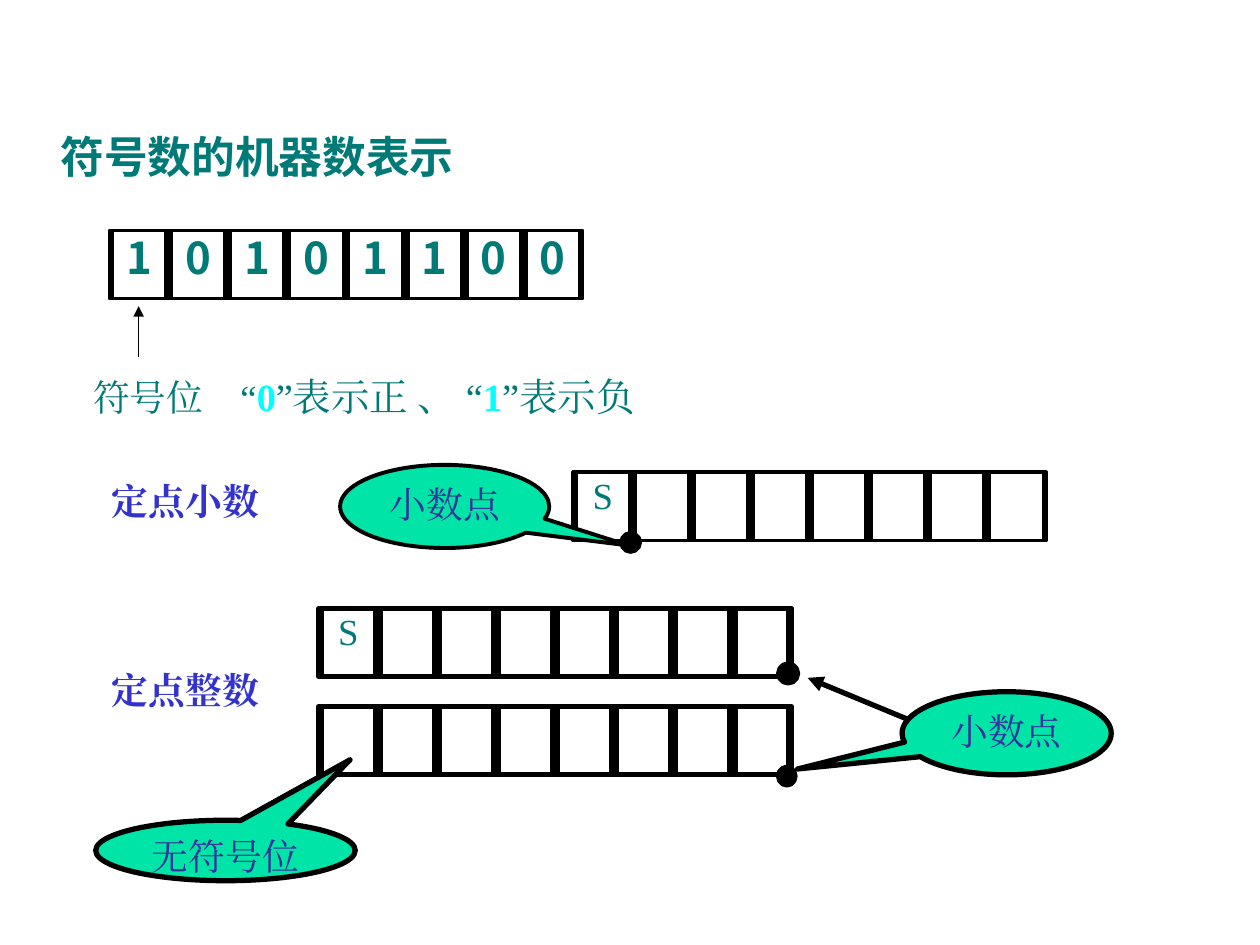
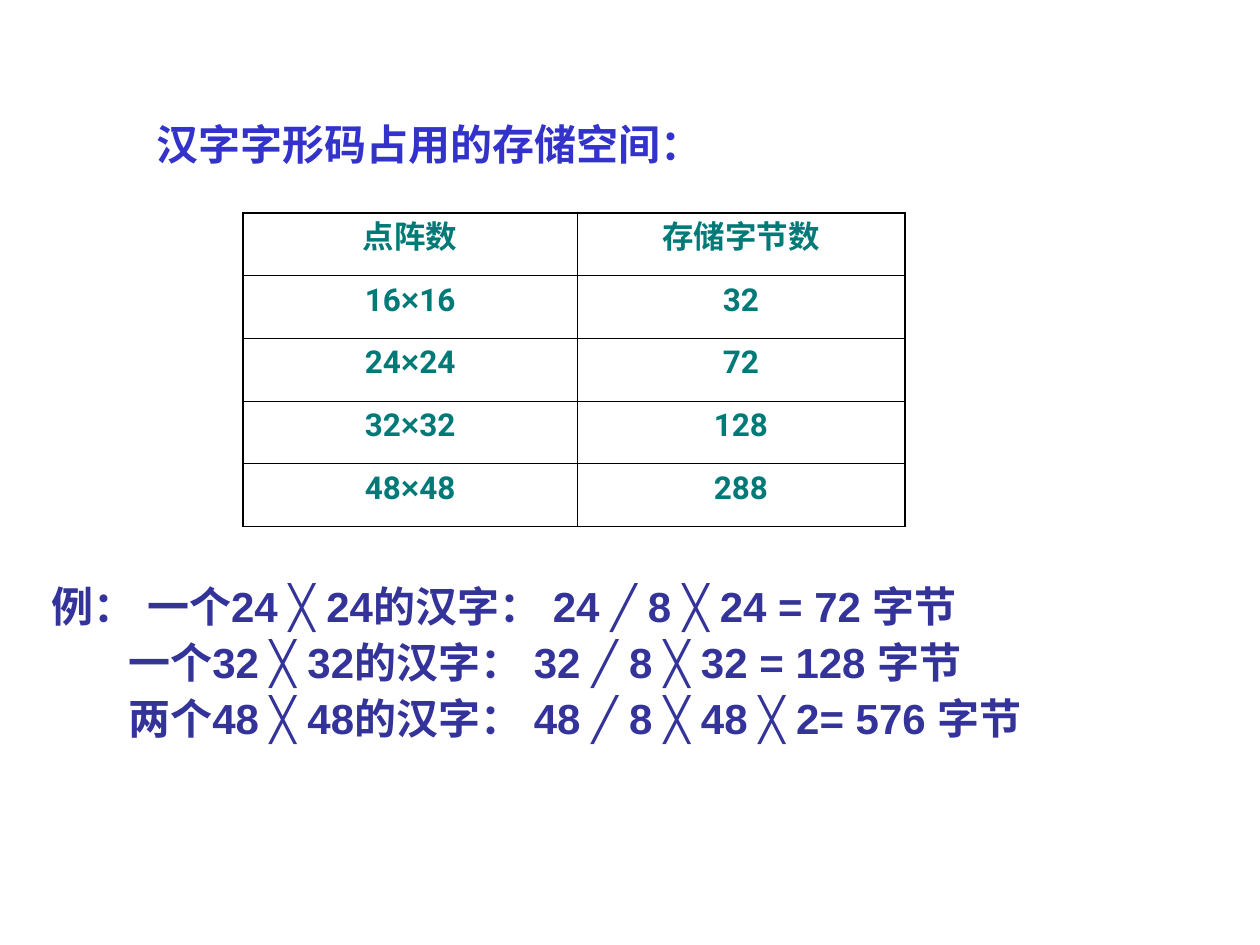
from dataclasses import dataclass, replace
from typing import Sequence

import pptx
import pptx.dml.color
import pptx.enum.dml
import pptx.enum.lang
import pptx.enum.shapes
import pptx.enum.text
import pptx.oxml.ns
import pptx.util
from lxml import etree

COLUMNS, ROWS = 100, 75
WIDTH, HEIGHT = pptx.util.Inches(10), pptx.util.Inches(7.5)
SHAPES = pptx.enum.shapes.MSO_SHAPE
CENTER = pptx.enum.text.PP_ALIGN.CENTER
LEFT = pptx.enum.text.PP_ALIGN.LEFT


@dataclass(frozen=True)
class TextStyle:
    size: float
    font: str
    color: str
    bold: bool = False


@dataclass(frozen=True)
class Theme:
    ink: str = "000000"
    bubble: str = "00E4A8"
    thin: float = 1
    medium: float = 2.25
    thick: float = 3
    inner_border: float = 0.45
    outer_border: float = 1.08
    title: TextStyle = TextStyle(25, "Noto Sans CJK SC", "007A77", True)
    label: TextStyle = TextStyle(21, "Times New Roman", "3333CC", True)
    body: TextStyle = TextStyle(21, "Times New Roman", "007A77")
    note: TextStyle = TextStyle(22, "Times New Roman", "007A77")
    digit: TextStyle = TextStyle(22, "Times New Roman", "00FFFF", True)
    bubble_text: TextStyle = TextStyle(21, "Times New Roman", "333399")
    heading: TextStyle = TextStyle(24, "Arial", "3333CC", True)
    example: TextStyle = TextStyle(24, "Arial", "333399", True)
    table: TextStyle = TextStyle(18, "Roboto", "007A77", True)


THEME = Theme()


@dataclass(frozen=True)
class Area:
    left: float
    top: float
    width: float
    height: float


@dataclass(frozen=True)
class Span:
    text: str
    style: TextStyle


@dataclass(frozen=True)
class Line:
    spans: Sequence[Span]
    indent: float = 0
    tab: float = 0
    space_before: float = 0


@dataclass(frozen=True)
class Register:
    left: float
    top: float
    line: float
    bits: Sequence[str]
    style: TextStyle = THEME.body


@dataclass(frozen=True)
class Callout:
    area: Area
    text: str
    tip: tuple[float, float]
    line: float


@dataclass(frozen=True)
class Arrow:
    tip: tuple[float, float]
    tail: tuple[float, float]
    line: float


@dataclass(frozen=True)
class Dot:
    area: Area
    line: float


def across(columns: float) -> int:
    return round(WIDTH * columns / COLUMNS)


def down(rows: float) -> int:
    return round(HEIGHT * rows / ROWS)


def place(area: Area) -> tuple[int, int, int, int]:
    return across(area.left), down(area.top), across(area.width), down(area.height)


def rgb(color: str) -> pptx.dml.color.RGBColor:
    return pptx.dml.color.RGBColor.from_string(color)


def add_child(parent, tag: str, **attributes: str):
    return etree.SubElement(parent, pptx.oxml.ns.qn(tag), attributes)


def write(para, spans: Sequence[Span], align=LEFT) -> None:
    para.alignment = align
    para.text = spans[0].text
    for span in spans[1:]:
        para.add_run().text = span.text
    for run, span in zip(para.runs, spans):
        style = span.style
        run.font.size = pptx.util.Pt(style.size)
        run.font.bold = style.bold
        run.font.color.rgb = rgb(style.color)
        run.font.language_id = pptx.enum.lang.MSO_LANGUAGE_ID.SIMPLIFIED_CHINESE
        run.font.name = style.font
        add_child(run._r.get_or_add_rPr(), "a:ea", typeface=style.font)


def set_margins(frame, horizontal: float, vertical: float) -> None:
    frame.margin_left = frame.margin_right = across(horizontal)
    frame.margin_top = frame.margin_bottom = down(vertical)
    frame.word_wrap = True


def add_text(page, area: Area, lines: Sequence[Line], margins=(1, 0.5)) -> None:
    frame = page.shapes.add_textbox(*place(area)).text_frame
    set_margins(frame, *margins)
    frame.auto_size = pptx.enum.text.MSO_AUTO_SIZE.SHAPE_TO_FIT_TEXT
    for index, line in enumerate(lines):
        para = frame.add_paragraph() if index else frame.paragraphs[0]
        para.space_before = pptx.util.Pt(line.space_before)
        properties = para._p.get_or_add_pPr()
        properties.set("marL", str(across(line.indent)))
        if line.tab:
            stops = add_child(properties, "a:tabLst")
            add_child(stops, "a:tab", pos=str(across(line.tab)), algn="l")
        write(para, line.spans)


def add_figure(page, kind, area: Area, line: float, fill: str = ""):
    figure = page.shapes.add_shape(kind, *place(area))
    figure.shadow.inherit = False
    if fill:
        figure.fill.solid()
        figure.fill.fore_color.rgb = rgb(fill)
    else:
        figure.fill.background()
    figure.line.color.rgb = rgb(THEME.ink)
    figure.line.width = pptx.util.Pt(line)
    return figure


def add_register(page, register: Register) -> None:
    pitch, width, height, inset = 4.69, 4.7, 5.4, 0.2
    for index, bit in enumerate(register.bits):
        outer = Area(register.left + index * pitch, register.top, width, height)
        inner = replace(outer, left=outer.left + inset, width=width - 2 * inset)
        box = add_figure(page, SHAPES.RECTANGLE, inner, register.line)
        add_figure(page, SHAPES.RECTANGLE, outer, register.line)
        if bit:
            set_margins(box.text_frame, 0.1, 0)
            box.text_frame.vertical_anchor = pptx.enum.text.MSO_ANCHOR.TOP
            write(box.text_frame.paragraphs[0], [Span(bit, register.style)], CENTER)


def add_callout(page, callout: Callout) -> None:
    bubble = add_figure(page, SHAPES.OVAL_CALLOUT, callout.area, callout.line, THEME.bubble)
    for index, offset in enumerate(callout.tip):
        bubble.adjustments[index] = offset
    set_margins(bubble.text_frame, 0.7, 0.4)
    bubble.text_frame.vertical_anchor = pptx.enum.text.MSO_ANCHOR.TOP
    write(bubble.text_frame.paragraphs[0], [Span(callout.text, THEME.bubble_text)], CENTER)


def add_arrow(page, arrow: Arrow) -> None:
    connector = page.shapes.add_connector(
        pptx.enum.shapes.MSO_CONNECTOR.STRAIGHT,
        across(arrow.tip[0]), down(arrow.tip[1]),
        across(arrow.tail[0]), down(arrow.tail[1]),
    )
    connector.line.color.rgb = rgb(THEME.ink)
    connector.line.width = pptx.util.Pt(arrow.line)
    add_child(connector.line._get_or_add_ln(), "a:headEnd", type="triangle")
    add_child(connector._element.spPr, "a:effectLst")


def add_border(cell, side: str, width: float) -> None:
    points = str(int(pptx.util.Pt(width)))
    border = add_child(cell._tc.get_or_add_tcPr(), f"a:{side}", w=points)
    add_child(add_child(border, "a:solidFill"), "a:srgbClr", val=THEME.ink)


def add_storage_table(page, area: Area, widths: Sequence[float],
                      records: Sequence[Sequence[str]]) -> None:
    last_row, last_column = len(records) - 1, len(widths) - 1
    table = page.shapes.add_table(len(records), len(widths), *place(area)).table
    table.first_row = table.horz_banding = False
    for column, width in zip(table.columns, widths):
        column.width = across(width)
    for row, record in enumerate(records):
        for column, text in enumerate(record):
            cell = table.cell(row, column)
            edges = {"lnL": column == 0, "lnR": column == last_column,
                     "lnT": row == 0, "lnB": row == last_row}
            for side, is_outer in edges.items():
                add_border(cell, side, THEME.outer_border if is_outer else THEME.inner_border)
            cell.fill.background()
            before, sign, after = text.partition("×")
            spans = [Span(before, THEME.table)]
            if sign:
                spans += [Span(sign, replace(THEME.table, font="Arial")), Span(after, THEME.table)]
            write(cell.text_frame.paragraphs[0], spans, CENTER)


def build_signed_numbers(page) -> None:
    add_text(page, Area(4.1, 9.9, 45.2, 4.9),
             [Line([Span("符号数的机器数表示", THEME.title)])], margins=(0.7, 0.4))
    sign_note = [
        Span("符号位\t“", THEME.body), Span("0", THEME.digit),
        Span("”表示正 、 “", THEME.note), Span("1", THEME.digit),
        Span("”表示负", THEME.note),
    ]
    add_text(page, Area(6.4, 29.1, 47.4, 8.3), [Line(sign_note, tab=11.7)])
    for top, label in ((37.5, "定点小数"), (52.5, "定点整数")):
        add_text(page, Area(5.8, top, 16.6, 4.5),
                 [Line([Span(label, THEME.label)], indent=2.1)])

    for dot in (Dot(Area(49.3, 42.3, 1.5, 1.5), THEME.medium),
                Dot(Area(61.8, 52.7, 1.5, 1.5), THEME.thick),
                Dot(Area(61.8, 60.9, 1.3, 1.4), THEME.thick)):
        add_figure(page, SHAPES.OVAL, dot.area, dot.line, THEME.ink)
    for arrow in (Arrow((11, 24.3), (11, 28.3), THEME.thin),
                  Arrow((64.1, 53.8), (74, 57.9), THEME.thick)):
        add_arrow(page, arrow)

    signed, unsigned = ["S"] + [""] * 7, [""] * 8
    for register in (Register(8.7, 18.3, THEME.medium, "10101100", THEME.title),
                     Register(45.5, 37.5, THEME.medium, signed),
                     Register(25.3, 48.3, THEME.thick, signed),
                     Register(25.3, 56.1, THEME.thick, unsigned)):
        add_register(page, register)
    for callout in (Callout(Area(27, 36.9, 16.6, 6.6), "小数点", (0.88, 0.47), THEME.medium),
                    Callout(Area(71.6, 54.9, 16.6, 6.6), "小数点", (-1, 0.43), THEME.thick),
                    Callout(Area(7.6, 65.1, 20.6, 4.8), "无符号位", (0.48, -1.5), THEME.thick)):
        add_callout(page, callout)


def build_glyph_storage(page) -> None:
    add_text(page, Area(11.4, 8.9, 74.5, 5),
             [Line([Span("汉字字形码占用的存储空间：", THEME.heading)])])
    add_storage_table(page, Area(19.3, 16.9, 52.5, 24.9), (26.5, 26), (
        ("点阵数", "存储字节数"),
        ("16×16", "32"),
        ("24×24", "72"),
        ("32×32", "128"),
        ("48×48", "288"),
    ))
    examples = (
        ("例： 一个24 ╳ 24的汉字： 24 ╱ 8 ╳ 24 = 72 字节", 1.5, 0),
        ("一个32 ╳ 32的汉字： 32 ╱ 8 ╳ 32 = 128 字节", 7.6, 3),
        ("两个48 ╳ 48的汉字： 48 ╱ 8 ╳ 48 ╳ 2= 576 字节", 7.6, 3),
    )
    add_text(page, Area(1.6, 45.6, 93.5, 13.8),
             [Line([Span(text, THEME.example)], indent=indent, space_before=space)
              for text, indent, space in examples])


def main() -> None:
    deck = pptx.Presentation()
    deck.slide_width, deck.slide_height = WIDTH, HEIGHT
    for build in (build_signed_numbers, build_glyph_storage):
        build(deck.slides.add_slide(deck.slide_layouts[6]))
    deck.save("out.pptx")


if __name__ == "__main__":
    main()
